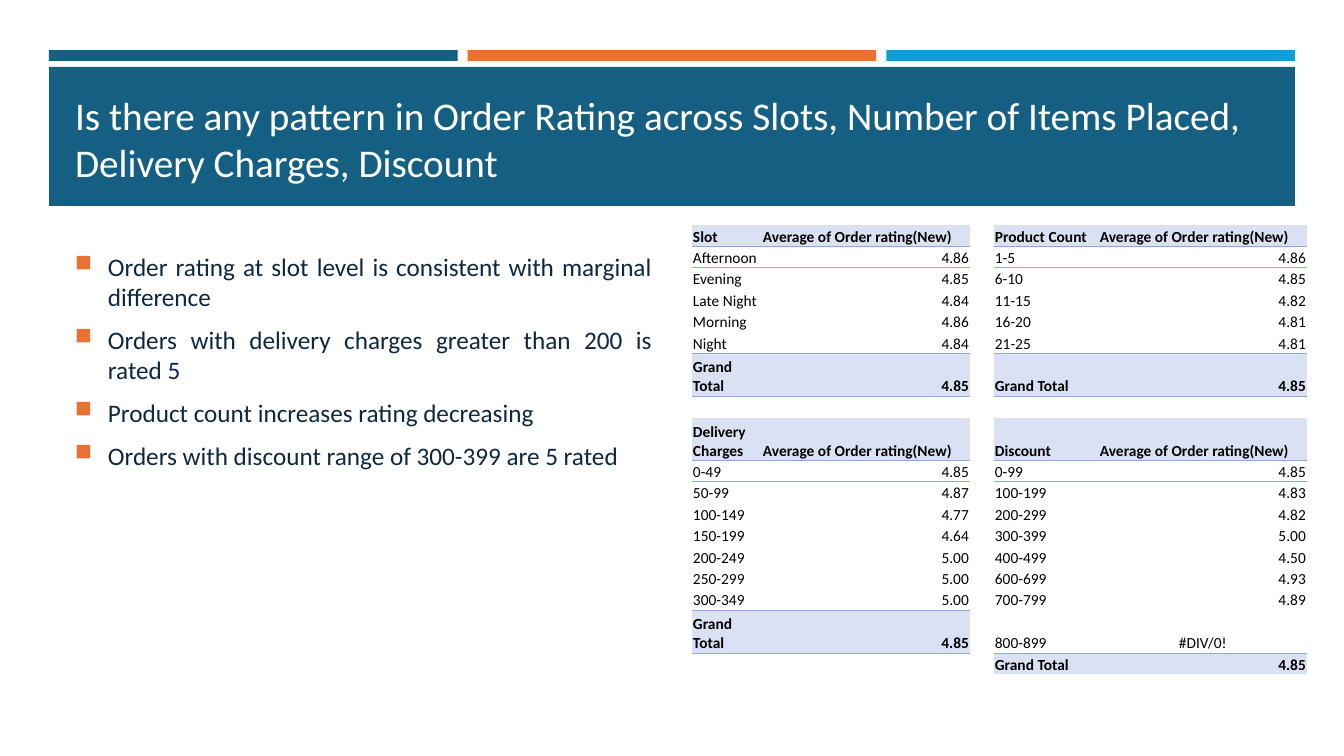
import pptx
import pptx.util
import pptx.dml.color
import pptx.enum.shapes
import pptx.enum.text
from dataclasses import dataclass
from lxml import etree
from pptx.oxml.ns import qn

TITLE = ("Is there any pattern in Order Rating across Slots, Number of Items Placed, "
         "Delivery Charges, Discount")
BULLETS = [
    "Order rating at slot level is consistent with marginal difference",
    "Orders with delivery charges greater than 200 is rated 5",
    "Product count increases rating decreasing",
    "Orders with discount range of 300-399 are 5 rated",
]
RATING = "Average of Order rating(New)"
TOTAL = ("Grand Total", "4.85")
# (first row, first column, heading, rows)
BLOCKS = [
    (0, 0, "Slot", [("Afternoon", "4.86"), ("Evening", "4.85"), ("Late Night", "4.84"),
                    ("Morning", "4.86"), ("Night", "4.84")]),
    (0, 3, "Product Count", [("1-5", "4.86"), ("6-10", "4.85"), ("11-15", "4.82"),
                             ("16-20", "4.81"), ("21-25", "4.81")]),
    (8, 0, "Delivery Charges", [("0-49", "4.85"), ("50-99", "4.87"), ("100-149", "4.77"),
                                ("150-199", "4.64"), ("200-249", "5.00"),
                                ("250-299", "5.00"), ("300-349", "5.00")]),
    (8, 3, "Discount", [("0-99", "4.85"), ("100-199", "4.83"), ("200-299", "4.82"),
                        ("300-399", "5.00"), ("400-499", "4.50"), ("600-699", "4.93"),
                        ("700-799", "4.89"), ("800-899", "#DIV/0!")]),
]
COLUMNS = [70, 208, 24, 105, 208]
ROW_COUNT, TALL_ROWS = 18, {6, 8, 16}
TABLE_BOX = (692, 225, sum(COLUMNS), 450)
BAND_BOX = (49, 67, 1246, 139)
TITLE_BOX = (65, 81, 1215, 109)
BULLETS_BOX = (65, 246, 597, 400)
STRIPE_TOP, STRIPE_HEIGHT, STRIPE_GAP = 50, 11, 10


@dataclass(frozen=True)
class Theme:
    font: str = "Calibri"
    blue: str = "156082"
    orange: str = "E97132"
    sky: str = "0F9ED5"
    navy: str = "0E2841"
    white: str = "FFFFFF"
    black: str = "000000"
    shade: str = "D9E1F2"
    rule: str = "8EA9DB"
    title: int = 28
    body: int = 18
    cell: int = 11


T = Theme()
ALIGN = pptx.enum.text.PP_ALIGN
ANCHOR = pptx.enum.text.MSO_ANCHOR
NO_GRID_STYLE = "{2D5ABB26-0587-4C30-8999-92F81FD0307C}"


def px(n):
    return pptx.util.Emu(round(n * 914400 / 100.8))


def rgb(value):
    return pptx.dml.color.RGBColor.from_string(value)


def write(p, text, size, color, bold=False, align=ALIGN.LEFT):
    p.alignment = align
    r = p.add_run()
    r.text = text
    f = r.font
    f.name, f.size, f.bold = T.font, pptx.util.Pt(size), bold
    f.color.rgb = rgb(color)


def add_bar(s, box, color):
    sp = s.shapes.add_shape(pptx.enum.shapes.MSO_SHAPE.RECTANGLE, *map(px, box))
    sp.shadow.inherit = False
    sp.fill.solid()
    sp.fill.fore_color.rgb = rgb(color)
    sp.line.fill.background()


def add_header(s):
    left, _, width, _ = BAND_BOX
    colors = [T.blue, T.orange, T.sky]
    stripe = (width - STRIPE_GAP * (len(colors) - 1)) / len(colors)
    for i, color in enumerate(colors):
        add_bar(s, (left + i * (stripe + STRIPE_GAP), STRIPE_TOP, stripe, STRIPE_HEIGHT), color)
    add_bar(s, BAND_BOX, T.blue)

    title = s.shapes.title
    s.shapes._spTree.append(title._element)  # in front of the band
    title.left, title.top, title.width, title.height = map(px, TITLE_BOX)
    tf = title.text_frame
    tf.auto_size = pptx.enum.text.MSO_AUTO_SIZE.NONE
    tf.word_wrap, tf.vertical_anchor = True, ANCHOR.BOTTOM
    write(tf.paragraphs[0], TITLE, T.title, T.white)


def add_bullets(s):
    tf = s.shapes.add_textbox(*map(px, BULLETS_BOX)).text_frame
    tf.word_wrap = True
    for i, text in enumerate(BULLETS):
        p = tf.add_paragraph() if i else tf.paragraphs[0]
        pPr = p._p.get_or_add_pPr()
        pPr.set("marL", str(px(33)))
        pPr.set("indent", str(px(-33)))
        color = etree.SubElement(pPr, qn("a:buClr"))
        etree.SubElement(color, qn("a:srgbClr"), val=T.orange)
        etree.SubElement(pPr, qn("a:buSzPct"), val="92000")
        etree.SubElement(pPr, qn("a:buChar"), char="■")
        p.space_before = pptx.util.Pt(3 if i else 0)
        p.space_after = pptx.util.Pt(6)
        write(p, text, T.body, T.navy, align=ALIGN.JUSTIFY)


def add_rule(cell, edge):
    ln = etree.SubElement(cell._tc.get_or_add_tcPr(), qn("a:ln" + edge), w="6350")
    fill = etree.SubElement(ln, qn("a:solidFill"))
    etree.SubElement(fill, qn("a:srgbClr"), val=T.rule)


def fill_block(table, top, left, heading, rows):
    lines = [(heading, RATING), *rows, TOTAL]
    last = len(lines) - 1
    for i, line in enumerate(lines):
        strong = i in (0, last)
        for j, text in enumerate(line):
            cell = table.cell(top + i, left + j)
            if i in (1, last):
                add_rule(cell, "T")
            if i in (0, last - 1):
                add_rule(cell, "B")
            if strong:
                cell.fill.solid()
                cell.fill.fore_color.rgb = rgb(T.shade)
            if i == 0 or j == 0:
                align = ALIGN.LEFT
            else:
                align = ALIGN.CENTER if text.startswith("#") else ALIGN.RIGHT
            write(cell.text_frame.paragraphs[0], text, T.cell, T.black, strong, align)


def add_ratings(s):
    table = s.shapes.add_table(ROW_COUNT, len(COLUMNS), *map(px, TABLE_BOX)).table
    table.first_row = table.horz_banding = False
    table._tbl.tblPr.find(qn("a:tableStyleId")).text = NO_GRID_STYLE
    for column, width in zip(table.columns, COLUMNS):
        column.width = px(width)
    unit = TABLE_BOX[3] / (ROW_COUNT + len(TALL_ROWS))
    for i, row in enumerate(table.rows):
        row.height = px(unit * (2 if i in TALL_ROWS else 1))
    for cell in table.iter_cells():
        cell.margin_left = cell.margin_right = cell.margin_top = px(1)
        cell.margin_bottom = 0
        cell.vertical_anchor = ANCHOR.BOTTOM
    for block in BLOCKS:
        fill_block(table, *block)
    for cell in table.iter_cells():
        if not cell.text:
            p = cell.text_frame.paragraphs[0]._p
            etree.SubElement(p, qn("a:endParaRPr"), sz=str(T.cell * 100))


def main():
    prs = pptx.Presentation()
    prs.slide_width, prs.slide_height = px(1344), px(756)
    s = prs.slides.add_slide(prs.slide_layouts[5])
    add_header(s)
    add_bullets(s)
    add_ratings(s)
    prs.save("out.pptx")


if __name__ == "__main__":
    main()
